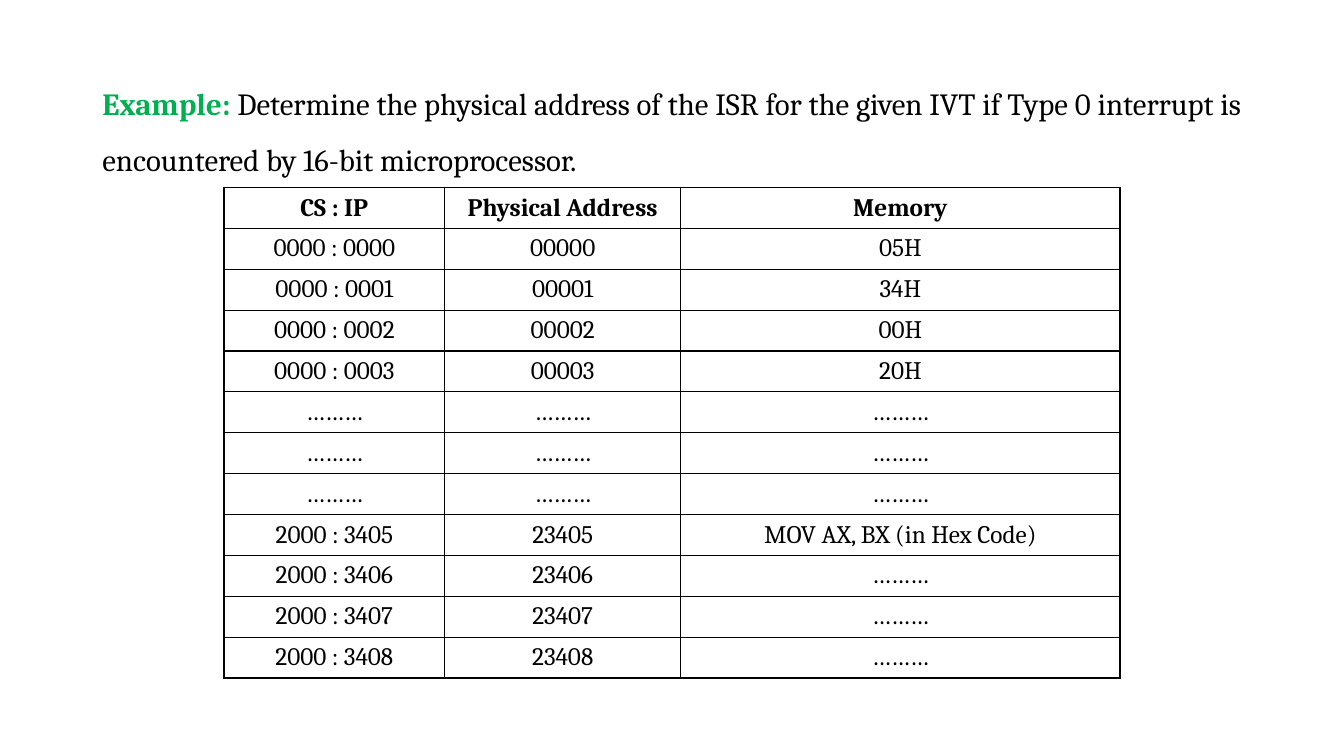
"""Build a slide with an interrupt vector table example."""
from pptx import Presentation
from pptx.dml.color import RGBColor as Rgb
from pptx.enum.text import MSO_ANCHOR as Anchor, PP_ALIGN as Align
from pptx.oxml import parse_xml
from pptx.oxml.ns import nsdecls
from pptx.util import Pt

HUES = {"lead": "00B050", "ink": "000000", "paper": "FFFFFF"}
FONT = "Cambria"
LEAD = "Example: "
TASK = ("Determine the physical address of the ISR for the given IVT if "
        "Type 0 interrupt is encountered by 16-bit microprocessor.")
DOTS = "………"
ROWS = [
    ("CS : IP", "Physical Address", "Memory"),
    ("0000 : 0000", "00000", "05H"),
    ("0000 : 0001", "00001", "34H"),
    ("0000 : 0002", "00002", "00H"),
    ("0000 : 0003", "00003", "20H"),
    *[(DOTS,) * 3] * 3,
    ("2000 : 3405", "23405", "MOV AX, BX (in Hex Code)"),
    ("2000 : 3406", "23406", DOTS),
    ("2000 : 3407", "23407", DOTS),
    ("2000 : 3408", "23408", DOTS),
]
COLS = (157.7, 168.5, 313.9)
ROW_H = 29.22
LEFT, TOP = 160, 133.9


def style(run, size, hue, bold):
    """Set the font of a run."""
    font = run.font
    font.name, font.size, font.bold = FONT, Pt(size), bold
    font.color.rgb = Rgb.from_string(HUES[hue])


def border(cell):
    """Draw a thin line on each side of a cell."""
    props = cell._tc.get_or_add_tcPr()
    for spot, side in enumerate("LRTB"):
        props.insert(spot, parse_xml(
            f'<a:ln{side} {nsdecls("a")} w="{Pt(1)}"><a:solidFill>'
            f'<a:srgbClr val="{HUES["ink"]}"/></a:solidFill></a:ln{side}>'))


def add_title(slide):
    """Fill and place the title."""
    title = slide.shapes.title
    title.left, title.top, title.width, title.height = map(
        Pt, (66, 54, 828, 66))
    frame = title.text_frame
    frame.word_wrap = True
    frame.vertical_anchor = Anchor.MIDDLE
    para = frame.paragraphs[0]
    para.alignment, para.line_spacing = Align.JUSTIFY, 1.5
    for text, hue, bold in ((LEAD, "lead", True), (TASK, "ink", False)):
        run = para.add_run()
        run.text = text
        style(run, 22, hue, bold)


def add_grid(slide):
    """Add the address table."""
    table = slide.shapes.add_table(
        len(ROWS), len(COLS), Pt(LEFT), Pt(TOP),
        Pt(sum(COLS)), Pt(ROW_H * len(ROWS))).table
    for col, width in zip(table.columns, COLS):
        col.width = Pt(width)
    for r, row in enumerate(ROWS):
        table.rows[r].height = Pt(ROW_H)
        for c, text in enumerate(row):
            cell = table.cell(r, c)
            cell.margin_top = cell.margin_bottom = 0
            cell.vertical_anchor = Anchor.MIDDLE
            cell.fill.solid()
            cell.fill.fore_color.rgb = Rgb.from_string(HUES["paper"])
            border(cell)
            para = cell.text_frame.paragraphs[0]
            para.text = text
            para.alignment = Align.CENTER
            style(para.runs[0], 18, "ink", r == 0)


def main():
    """Make and save the deck."""
    deck = Presentation()
    deck.slide_width, deck.slide_height = Pt(960), Pt(540)
    slide = deck.slides.add_slide(deck.slide_layouts[5])
    add_title(slide)
    add_grid(slide)
    deck.save("out.pptx")


if __name__ == "__main__":
    main()
